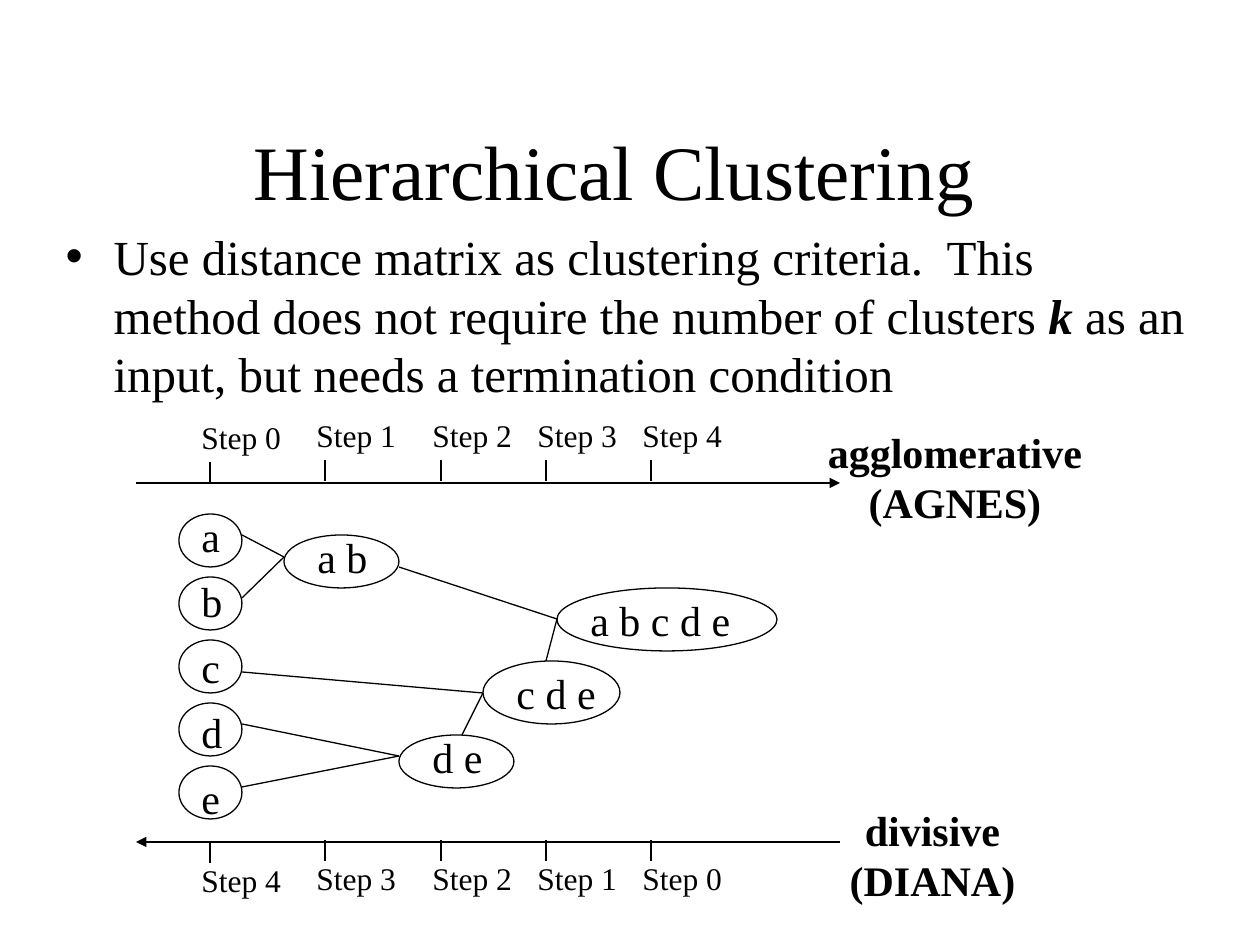
from dataclasses import dataclass
from typing import Optional

import pptx
import pptx.dml.color
import pptx.enum.shapes
import pptx.enum.text
import pptx.oxml
import pptx.oxml.ns
import pptx.util

BLACK = pptx.dml.color.RGBColor(0, 0, 0)
FONT = "Times New Roman"
PX = 914400 / 126
ALIGN = pptx.enum.text.PP_ALIGN


@dataclass(frozen=True)
class Cluster:
    label: str
    left: int
    top: int
    width: int
    height: int
    text_left: int
    text_top: int
    text_width: int


@dataclass(frozen=True)
class Axis:
    top: int
    arrow_end: str
    tick_top: int
    label_top: int
    first_offset: int
    steps: tuple[int, ...]
    caption: tuple[str, str]
    caption_box: tuple[int, int, int, int]


TICKS = (210, 325, 441, 546, 651)
AXES = (
    Axis(483, "tailEnd", 460, 410, 2, (0, 1, 2, 3, 4),
         ("agglomerative", "(AGNES)"), (815, 420, 280, 113)),
    Axis(842, "headEnd", 840, 853, 2, (4, 3, 2, 1, 0),
         ("divisive", "(DIANA)"), (837, 798, 191, 113)),
)
LEAVES = tuple(
    Cluster(letter, 179, 514 + 63 * row, 63, 53, 189, 504 + 131 * row // 2, 45)
    for row, letter in enumerate("abcde")
)
MERGES = (
    Cluster("a b", 284, 535, 115, 53, 305, 525, 76),
    Cluster("d e", 399, 735, 115, 53, 420, 725, 76),
    Cluster("c d e", 483, 661, 137, 63, 504, 661, 105),
    Cluster("a b c d e", 557, 588, 220, 63, 578, 588, 165),
)
LINKS = (
    (242, 535, 284, 557), (242, 598, 284, 557),
    (242, 724, 399, 756), (242, 787, 399, 756),
    (242, 672, 483, 693), (462, 735, 483, 693),
    (399, 567, 557, 619), (546, 661, 557, 619),
)


def emu(*lengths: int) -> list[pptx.util.Emu]:
    return [pptx.util.Emu(round(length * PX)) for length in lengths]


def place(shape, left: int, top: int, width: int, height: int) -> None:
    shape.left, shape.top, shape.width, shape.height = emu(left, top, width, height)


def style(para, size: int, bold: Optional[bool] = None) -> None:
    para.font.name = FONT
    para.font.size = pptx.util.Pt(size)
    para.font.bold = bold
    para.font.color.rgb = BLACK


def add_label(page, lines: tuple[str, ...], left: int, top: int, width: int,
              height: int, size: int, wrap: bool = False,
              bold: Optional[bool] = None, align=ALIGN.LEFT) -> None:
    box = page.shapes.add_textbox(*emu(left, top, width, height))
    frame = box.text_frame
    frame.word_wrap = wrap
    frame.text = "\n".join(lines)
    for para in frame.paragraphs:
        para.alignment = align
        style(para, size, bold)


def add_line(page, x1: int, y1: int, x2: int, y2: int,
             weight: float = 0.75, arrow_end: Optional[str] = None) -> None:
    line = page.shapes.add_connector(
        pptx.enum.shapes.MSO_CONNECTOR.STRAIGHT, *emu(x1, y1, x2, y2))
    line.line.color.rgb = BLACK
    line.line.width = pptx.util.Pt(weight)
    if arrow_end:
        arrow = pptx.oxml.parse_xml(
            f'<a:{arrow_end} {pptx.oxml.ns.nsdecls("a")} type="triangle"/>')
        line.line._get_or_add_ln().append(arrow)
    properties = line._element.spPr
    properties.append(pptx.oxml.parse_xml(
        f'<a:effectLst {pptx.oxml.ns.nsdecls("a")}/>'))


def add_cluster(page, cluster: Cluster) -> None:
    add_label(page, (cluster.label,), cluster.text_left, cluster.text_top,
              cluster.text_width, 63, 24)
    oval = page.shapes.add_shape(
        pptx.enum.shapes.MSO_SHAPE.OVAL,
        *emu(cluster.left, cluster.top, cluster.width, cluster.height))
    oval.shadow.inherit = False
    oval.fill.background()
    oval.line.color.rgb = BLACK
    oval.line.width = pptx.util.Pt(0.75)


def add_axis(page, axis: Axis) -> None:
    add_line(page, 136, axis.top, 840, axis.top, 1.5, axis.arrow_end)
    for index, (tick, step) in enumerate(zip(TICKS, axis.steps)):
        offset = axis.first_offset if index == 0 else 0
        top = axis.tick_top + offset
        add_line(page, tick, top, tick, top + 21)
        add_label(page, (f"Step {step}",), tick - 21, axis.label_top + offset,
                  105, 50, 18, wrap=True)
    add_label(page, axis.caption, *axis.caption_box, 24, bold=True,
              align=ALIGN.CENTER)


def fill_title(title) -> None:
    place(title, 113, 112, 1003, 115)
    frame = title.text_frame
    frame.text = "Hierarchical Clustering"
    frame.auto_size = pptx.enum.text.MSO_AUTO_SIZE.NONE
    frame.vertical_anchor = pptx.enum.text.MSO_ANCHOR.MIDDLE
    frame.paragraphs[0].alignment = ALIGN.CENTER
    style(frame.paragraphs[0], 44)


def fill_body(body) -> None:
    place(body, 53, 220, 1144, 672)
    frame = body.text_frame
    frame.auto_size = pptx.enum.text.MSO_AUTO_SIZE.NONE
    para = frame.paragraphs[0]
    style(para, 28)
    margin = emu(48)[0]
    para._p.get_or_add_pPr().set("marL", str(margin))
    para._p.get_or_add_pPr().set("indent", str(-margin))
    para.add_run().text = ("Use distance matrix as clustering criteria.  This method "
                           "does not require the number of clusters ")
    span = para.add_run()
    span.text = "k"
    span.font.bold = span.font.italic = True
    para.add_run().text = " as an input, but needs a termination condition"


def main() -> None:
    deck = pptx.Presentation()
    deck.slide_width, deck.slide_height = emu(1260, 945)
    page = deck.slides.add_slide(deck.slide_layouts[1])
    fill_title(page.shapes.title)
    fill_body(page.placeholders[1])
    for axis in AXES:
        add_axis(page, axis)
    for cluster in LEAVES + MERGES:
        add_cluster(page, cluster)
    for link in LINKS:
        add_line(page, *link)
    deck.save("out.pptx")


if __name__ == "__main__":
    main()
